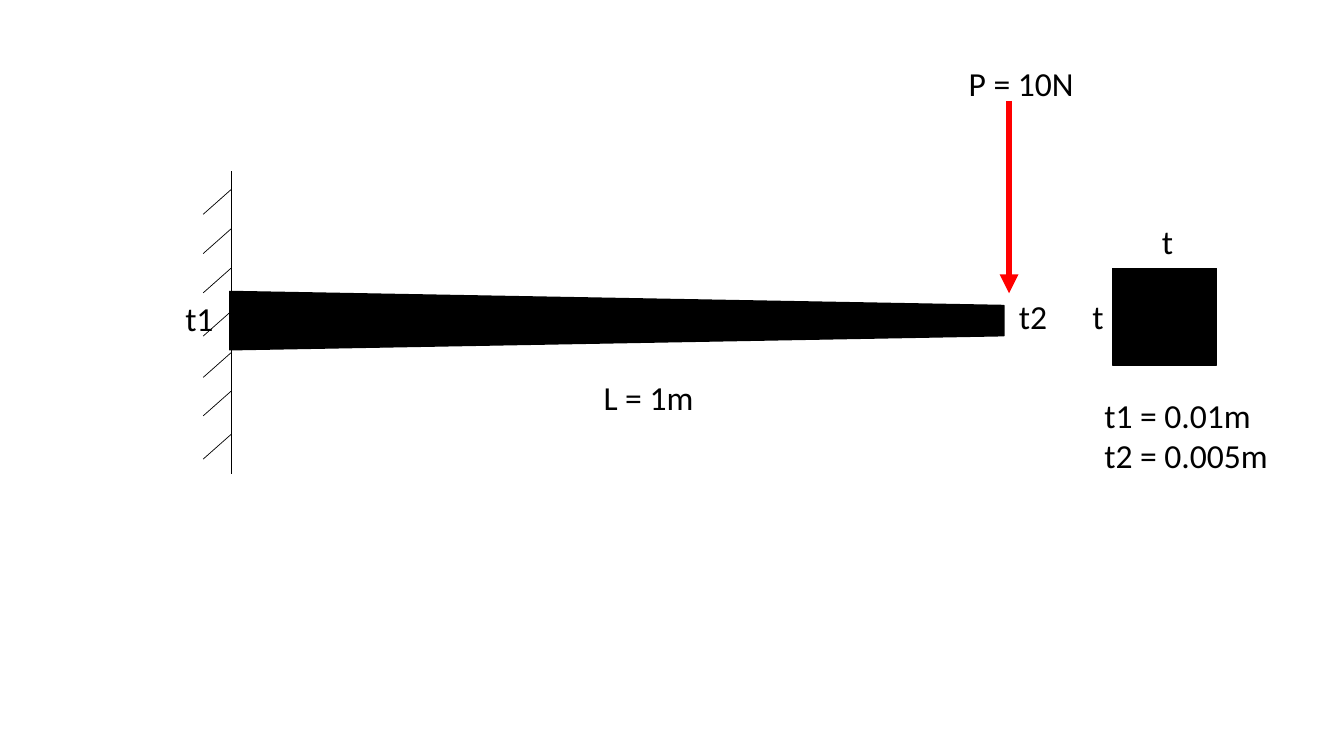
from lxml import etree
from pptx import Presentation
from pptx.dml.color import RGBColor
from pptx.enum.shapes import MSO_CONNECTOR, MSO_SHAPE
from pptx.enum.text import MSO_AUTO_SIZE
from pptx.oxml.ns import qn
from pptx.util import Cm, Pt

STRAIGHT = MSO_CONNECTOR.STRAIGHT
RECTANGLE, TRAPEZOID = MSO_SHAPE.RECTANGLE, MSO_SHAPE.TRAPEZOID
FIT_SHAPE = MSO_AUTO_SIZE.SHAPE_TO_FIT_TEXT

COLORS = {"ink": "000000", "load": "FF0000"}
FONT, FONT_SIZE = "Calibri", 24

# Lengths in cm: left, top, width, lines of text
LABELS = [
    (24.16, 1.47, 4.72, ["P = 10N"]),
    (25.43, 7.32, 1.75, ["t2"]),
    (27.28, 7.32, 0.66, ["t"]),
    (29.03, 5.44, 0.66, ["t"]),
    (14.96, 9.37, 3.81, ["L = 1m"]),
    (27.58, 9.83, 4.78, ["t1 = 0.01m", "t2 = 0.005m"]),
    (4.42, 7.37, 1.75, ["t1"]),
]
LINE_HEIGHT, INSETS = 1.03, 0.25

WALL_X, WALL_TOP, WALL_BOTTOM = 5.82, 4.32, 11.94
HATCH_TOPS = [4.78, 5.77, 6.76, 7.85, 8.89, 9.86, 10.95]
HATCH_RUN, HATCH_DROP = 0.7, 0.62
BEAM_LEFT, BEAM_MIDDLE, BEAM_LENGTH = 5.79, 8.08, 19.51
BEAM_ROOT, BEAM_TIP = 1.47, 0.76
LOAD_X, LOAD_TOP, LOAD_BOTTOM = 25.43, 2.54, 7.39
SECTION = (28.04, 6.76, 2.62, 2.44)


def add_line(page, start, end, color, width):
    """Draw a straight line between two points and return it."""
    line = page.shapes.add_connector(STRAIGHT, *map(Cm, start + end))
    line.line.color.rgb = RGBColor.from_string(COLORS[color])
    line.line.width = Pt(width)
    etree.SubElement(line._element.spPr, qn("a:effectLst"))
    return line


def add_solid(page, kind, left, top, width, height):
    """Draw a black shape and return it."""
    solid = page.shapes.add_shape(kind, *map(Cm, (left, top, width, height)))
    ink = RGBColor.from_string(COLORS["ink"])
    solid.shadow.inherit = False
    solid.fill.solid()
    solid.fill.fore_color.rgb = ink
    solid.line.color.rgb = ink
    solid.line.width = Pt(1)
    return solid


def add_label(page, left, top, width, lines):
    """Write one paragraph for each line of a label."""
    height = INSETS + LINE_HEIGHT * len(lines)
    box = page.shapes.add_textbox(*map(Cm, (left, top, width, height)))
    frame = box.text_frame
    frame.word_wrap = True
    frame.auto_size = FIT_SHAPE
    for index, line in enumerate(lines):
        para = frame.add_paragraph() if index else frame.paragraphs[0]
        span = para.add_run()
        span.text = line
        span.font.name = FONT
        span.font.size = Pt(FONT_SIZE)
        span.font.color.rgb = RGBColor.from_string(COLORS["ink"])


def add_wall(page):
    """Draw the fixed support with its hatching."""
    add_line(page, (WALL_X, WALL_TOP), (WALL_X, WALL_BOTTOM), "ink", 0.5)
    for top in HATCH_TOPS:
        foot = (WALL_X - HATCH_RUN, top + HATCH_DROP)
        add_line(page, (WALL_X, top), foot, "ink", 0.5)


def add_load(page):
    """Draw the load arrow at the tip of the beam."""
    arrow = add_line(page, (LOAD_X, LOAD_TOP), (LOAD_X, LOAD_BOTTOM), "load", 4.5)
    etree.SubElement(arrow.line._get_or_add_ln(), qn("a:tailEnd"), type="triangle")


def add_beam(page):
    """Draw the tapered beam as a trapezoid turned on its side."""
    left = BEAM_LEFT + (BEAM_LENGTH - BEAM_ROOT) / 2
    top = BEAM_MIDDLE - BEAM_LENGTH / 2
    beam = add_solid(page, TRAPEZOID, left, top, BEAM_ROOT, BEAM_LENGTH)
    beam.adjustments[0] = (BEAM_ROOT - BEAM_TIP) / 2 / BEAM_ROOT
    beam.rotation = 90


deck = Presentation()
deck.slide_width, deck.slide_height = Cm(33.87), Cm(19.05)
page = deck.slides.add_slide(deck.slide_layouts[6])
add_wall(page)
add_load(page)
add_solid(page, RECTANGLE, *SECTION)
add_beam(page)
for label in LABELS:
    add_label(page, *label)
deck.save("out.pptx")
